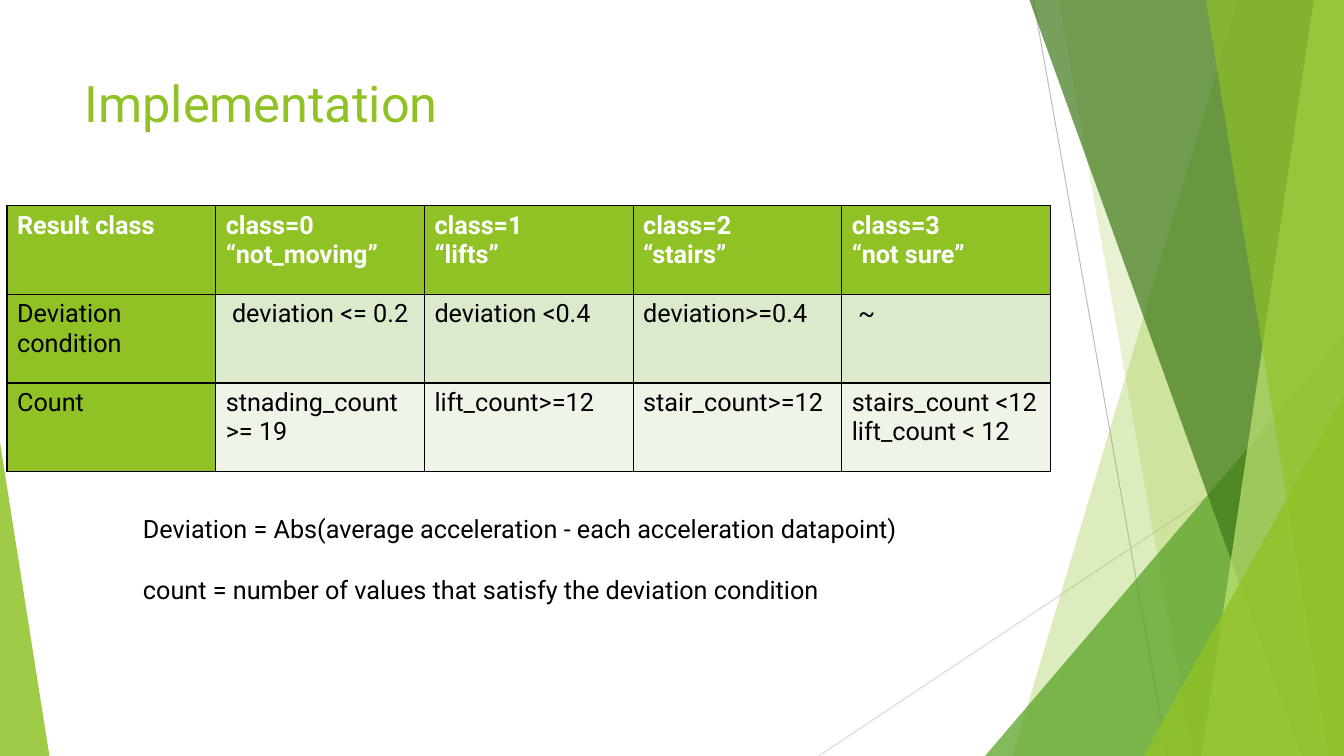
from lxml import etree
from pptx import Presentation
from pptx.dml.color import RGBColor
from pptx.enum import shapes, text
from pptx.oxml import ns
from pptx.util import Inches, Pt

FONT = "Roboto"
WIDE, HIGH = 13.33, 7.5
LIME = RGBColor(0x90, 0xC2, 0x26)
GREEN = RGBColor(0x54, 0xA0, 0x21)
DARK = RGBColor(0x3F, 0x78, 0x19)
PALE = RGBColor(0xC0, 0xE4, 0x74)
MINT = RGBColor(0xDB, 0xE9, 0xCD)
MIST = RGBColor(0xEE, 0xF4, 0xE8)
GREY = RGBColor(0xBF, 0xBF, 0xBF)
SILVER = RGBColor(0xD9, 0xD9, 0xD9)
BLACK = RGBColor(0, 0, 0)
WHITE = RGBColor(0xFF, 0xFF, 0xFF)

ROWS = [
    ["Result class", "class=0\n“not_moving”", "class=1\n“lifts”",
     "class=2\n“stairs”", "class=3\n“not sure”"],
    ["Deviation condition", " deviation <= 0.2", "deviation <0.4",
     "deviation>=0.4", " ~"],
    ["Count", "stnading_count >= 19", "lift_count>=12",
     "stair_count>=12", "stairs_count <12\nlift_count < 12"],
]
NOTES = [
    "Deviation = Abs(average acceleration - each acceleration datapoint)",
    "count = number of values that satisfy the deviation condition",
]


def style(frame, size, color, bold=False):
    for para in frame.paragraphs:
        font = para.font
        font.name, font.size, font.bold = FONT, Pt(size), bold
        font.color.rgb = color


def paint(shape, color, alpha):
    shape.shadow.inherit = False
    shape.line.fill.background()
    shape.fill.solid()
    shape.fill.fore_color.rgb = color
    tone = shape.fill._xPr.find(".//" + ns.qn("a:srgbClr"))
    etree.SubElement(tone, ns.qn("a:alpha"), val=str(alpha * 1000))


def line(slide, x1, y1, x2, y2, color):
    rule = slide.shapes.add_connector(
        shapes.MSO_CONNECTOR.STRAIGHT,
        Inches(x1), Inches(y1), Inches(x2), Inches(y2))
    rule.line.color.rgb = color
    rule.line.width = Pt(0.75)
    etree.SubElement(rule._element.spPr, ns.qn("a:effectLst"))


def band(slide, top, foot, color, alpha):
    """Fill from a slanted left side to the slide's right edge."""
    pen = slide.shapes.build_freeform(Inches(top), 0)
    pen.add_line_segments([(Inches(WIDE), 0), (Inches(WIDE), Inches(HIGH)),
                           (Inches(foot), Inches(HIGH))])
    paint(pen.convert_to_shape(), color, alpha)


def wedge(slide, x, y, width, peak, color, alpha):
    """Stand a triangle on the slide's bottom edge."""
    shape = slide.shapes.add_shape(
        shapes.MSO_SHAPE.ISOSCELES_TRIANGLE,
        Inches(x), Inches(y), Inches(width), Inches(HIGH - y))
    shape.adjustments[0] = peak
    paint(shape, color, alpha)


def border(cell):
    props = cell._tc.get_or_add_tcPr()
    for spot, side in enumerate(("lnL", "lnR", "lnT", "lnB")):
        edge = etree.Element(ns.qn("a:" + side), w=str(Pt(1)))
        fill = etree.SubElement(edge, ns.qn("a:solidFill"))
        etree.SubElement(fill, ns.qn("a:srgbClr"), val=str(BLACK))
        props.insert(spot, edge)


def grid(slide):
    table = slide.shapes.add_table(
        len(ROWS), len(ROWS[0]), Inches(0.07), Inches(2.04),
        Inches(10.34), Inches(2.64)).table
    for col in table.columns:
        col.width = Inches(2.07)
    for r, (row, tint) in enumerate(zip(ROWS, (LIME, MINT, MIST))):
        table.rows[r].height = Inches(0.88)
        for c, words in enumerate(row):
            cell = table.cell(r, c)
            cell.text = words
            head = r == 0
            style(cell.text_frame, 18, WHITE if head else BLACK, head)
            cell.fill.solid()
            cell.fill.fore_color.rgb = tint if c else LIME
            border(cell)


def title(slide, words):
    box = slide.shapes.title
    box.left, box.top = Inches(0.74), Inches(0.67)
    box.width, box.height = Inches(9.4), Inches(1.44)
    frame = box.text_frame
    frame.text = words
    frame.vertical_anchor = text.MSO_ANCHOR.TOP
    frame.paragraphs[0].alignment = text.PP_ALIGN.LEFT
    style(frame, 36, LIME)


def notes(slide):
    box = slide.shapes.add_textbox(
        Inches(1.32), Inches(5.04), Inches(7.84), Inches(1.01))
    frame = box.text_frame
    frame.word_wrap = False
    frame.text = "\n".join(NOTES)
    frame.paragraphs[1].space_before = Pt(22)
    style(frame, 18, BLACK)


def main():
    deck = Presentation()
    deck.slide_width, deck.slide_height = Inches(WIDE), Inches(HIGH)
    slide = deck.slides.add_slide(deck.slide_layouts[5])

    # Side decoration, back to front
    line(slide, 10.25, 0, 11.58, HIGH, GREY)
    line(slide, WIDE, 4.03, 8.12, HIGH, SILVER)
    band(slide, 12.28, 10.04, LIME, 30)
    band(slide, 10.5, 11.83, LIME, 20)
    wedge(slide, 9.77, 3.33, 3.56, 1, GREEN, 72)
    band(slide, 10.21, 12.91, DARK, 70)
    band(slide, 13.03, 11.92, PALE, 70)
    band(slide, 11.96, 13.18, LIME, 65)
    wedge(slide, 11.34, 3.93, 1.99, 1, LIME, 80)
    wedge(slide, 0, 4.39, 0.49, 0, LIME, 85)

    # Content
    title(slide, "Implementation")
    grid(slide)
    notes(slide)
    deck.save("out.pptx")


if __name__ == "__main__":
    main()
